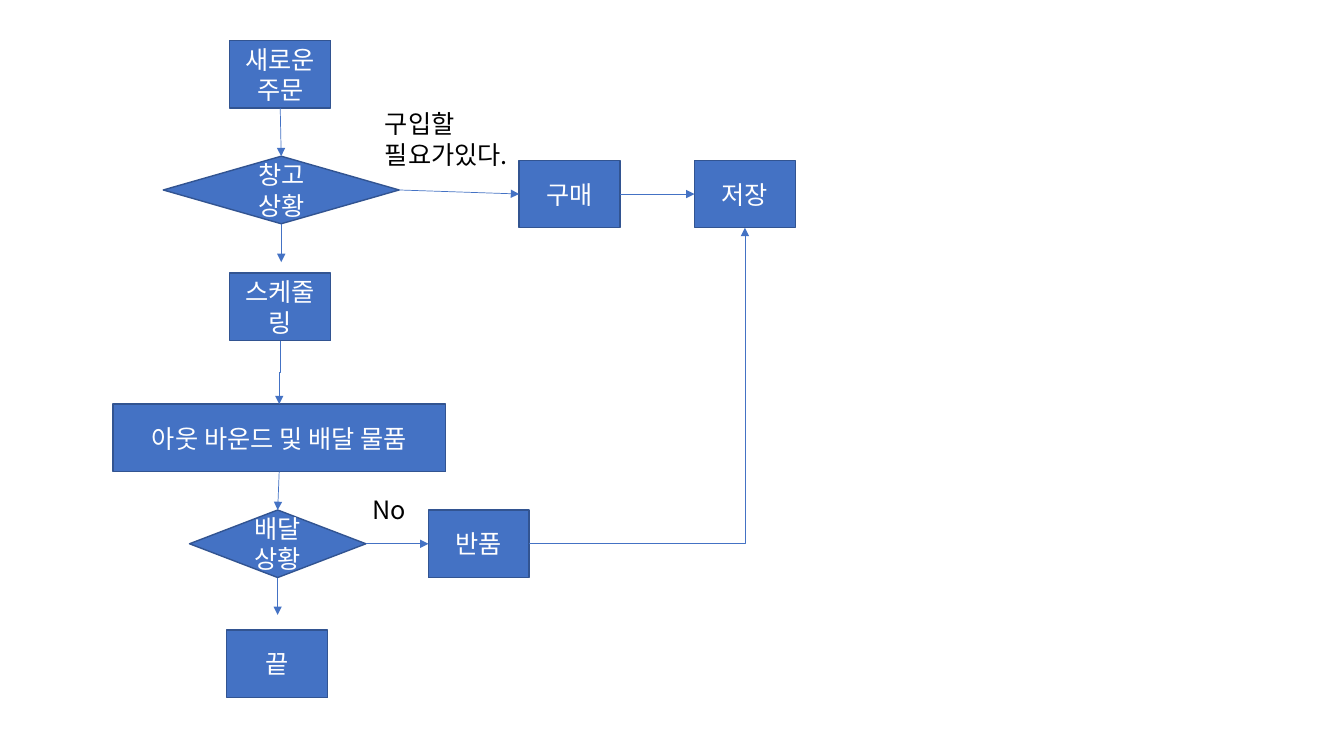
"""Builds an order handling flowchart slide."""
from dataclasses import dataclass
from typing import Any, Optional

from lxml.etree import SubElement
from pptx import Presentation
from pptx.dml.color import RGBColor
from pptx.enum.shapes import MSO_CONNECTOR as Link, MSO_SHAPE as Kind
from pptx.enum.text import MSO_ANCHOR as Anchor, MSO_AUTO_SIZE as Auto, PP_ALIGN as Align
from pptx.oxml.ns import qn
from pptx.util import Inches, Pt

BLUE = RGBColor(0x44, 0x72, 0xC4)
NAVY = RGBColor(0x32, 0x54, 0x91)
WHITE = RGBColor(0xFF, 0xFF, 0xFF)
BLACK = RGBColor(0x00, 0x00, 0x00)
FACE = "Noto Sans CJK SC"
CELL = Inches(0.1)
COLS, ROWS = 133.33, 75
SIDE, HIGH = 10, 6.7
TOP, LEFT, BOTTOM, RIGHT = range(4)


@dataclass
class Node:
    text: str
    col: float
    row: float
    wide: float = SIDE
    kind: Any = Kind.FLOWCHART_PROCESS


@dataclass
class Edge:
    start: str
    out: int
    to: str = ""
    into: int = TOP
    drop: float = 0
    bend: str = ""
    frame: Optional[tuple[float, ...]] = None


@dataclass
class Note:
    text: str
    col: float
    row: float
    wide: float
    high: float
    wrap: bool


NODES = {
    "order": Node("새로운 주문", 22.8, 4),
    "stock": Node("창고 상황", 16.2, 15.5, 23.4, Kind.FLOWCHART_DECISION),
    "plan": Node("스케줄링", 22.8, 27.1),
    "ship": Node("아웃 바운드 및 배달 물품", 11.2, 40.1, 33),
    "state": Node("배달 상황", 18.8, 50.6, 17.5, Kind.FLOWCHART_DECISION),
    "end": Node("끝", 22.5, 62.5),
    "buy": Node("구매", 51.5, 15.9),
    "store": Node("저장", 68.9, 15.9),
    "back": Node("반품", 42.5, 50.6),
}
EDGES = [
    Edge("stock", RIGHT, "buy", LEFT),
    Edge("order", BOTTOM, "stock"),
    Edge("stock", BOTTOM, drop=3.8),
    Edge("plan", BOTTOM, "ship", bend="bentConnector3", frame=(24.6, 36.9, 6.3, 0.1)),
    Edge("ship", BOTTOM, "state"),
    Edge("state", BOTTOM, drop=3.7),
    Edge("buy", RIGHT, "store", LEFT),
    Edge("state", RIGHT, "back", LEFT),
    Edge("back", RIGHT, "store", BOTTOM, bend="bentConnector2"),
]
NOTES = [
    Note("구입할 필요가있다.", 37.2, 10.3, 20.2, 7.1, True),
    Note("No", 36, 48.5, 5.3, 4, False),
]


def grid(*cells: float) -> list[int]:
    """Turn columns and rows into lengths."""
    return [round(n * CELL) for n in cells]


def put(item: Any, form: dict[str, Any]) -> None:
    """Set each format value on an item."""
    for name, value in form.items():
        setattr(item, name, value)


def write(shape: Any, text: str, ink: RGBColor, form: dict[str, Any]) -> None:
    """Fill a shape with one styled line of text."""
    frame = shape.text_frame
    put(frame, form)
    run = frame.paragraphs[0].add_run()
    run.text = text
    put(run.font, {"size": Pt(18), "name": FACE})
    run.font.color.rgb = ink
    SubElement(run.font._element, qn("a:ea"), typeface=FACE)


def add_node(shapes: Any, node: Node) -> Any:
    """Draw a step or a decision."""
    shape = shapes.add_shape(node.kind, *grid(node.col, node.row, node.wide, HIGH))
    shape.shadow.inherit = False
    shape.fill.solid()
    shape.fill.fore_color.rgb = BLUE
    shape.line.color.rgb = NAVY
    shape.line.width = Pt(1)
    write(shape, node.text, WHITE, {"word_wrap": True, "vertical_anchor": Anchor.MIDDLE})
    shape.text_frame.paragraphs[0].alignment = Align.CENTER
    return shape


def add_edge(shapes: Any, edge: Edge, steps: dict[str, Any]) -> None:
    """Draw an arrow between steps."""
    node = NODES[edge.start]
    col, row = node.col + node.wide / 2, node.row + HIGH
    kind = Link.ELBOW if edge.bend else Link.STRAIGHT
    line = shapes.add_connector(kind, *grid(col, row, col, row + edge.drop))
    line.begin_connect(steps[edge.start], edge.out)
    if edge.to:
        line.end_connect(steps[edge.to], edge.into)
    props = line._element.spPr
    if edge.bend:
        props.find(qn("a:prstGeom")).set("prst", edge.bend)
    if edge.frame:
        props.xfrm.attrib.clear()
        put(line, dict(zip(("left", "top", "width", "height"), grid(*edge.frame))))
        props.xfrm.set("rot", str(90 * 60000))
    line.line.color.rgb = BLUE
    line.line.width = Pt(0.5)
    SubElement(props.find(qn("a:ln")), qn("a:tailEnd"), type="triangle")
    SubElement(props, qn("a:effectLst"))


def add_note(shapes: Any, note: Note) -> None:
    """Draw a label beside an arrow."""
    box = shapes.add_textbox(*grid(note.col, note.row, note.wide, note.high))
    write(box, note.text, BLACK, {"word_wrap": note.wrap, "auto_size": Auto.SHAPE_TO_FIT_TEXT})


def main() -> None:
    """Build and save the slide."""
    deck = Presentation()
    wide, high = grid(COLS, ROWS)
    put(deck, {"slide_width": wide, "slide_height": high})
    shapes = deck.slides.add_slide(deck.slide_layouts[6]).shapes
    steps = {name: add_node(shapes, node) for name, node in NODES.items()}
    for edge in EDGES:
        add_edge(shapes, edge, steps)
    for note in NOTES:
        add_note(shapes, note)
    deck.save("out.pptx")


if __name__ == "__main__":
    main()
